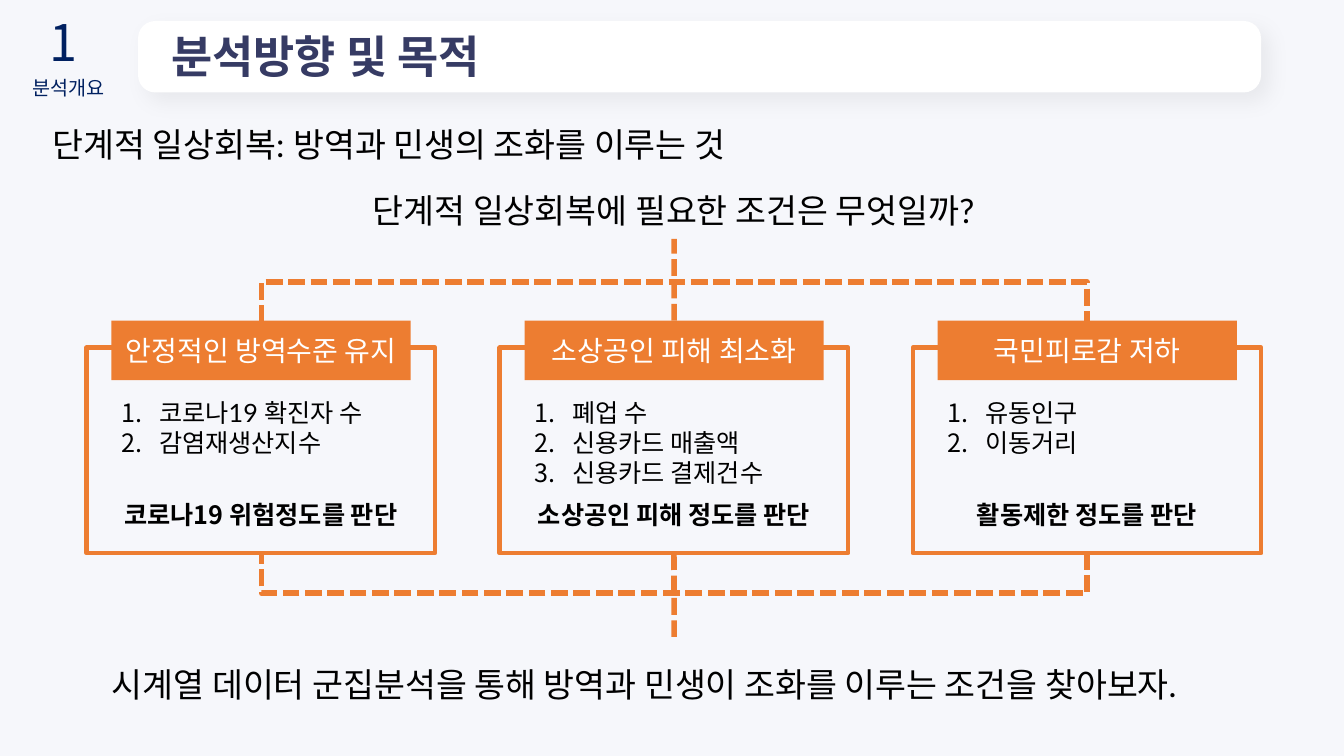
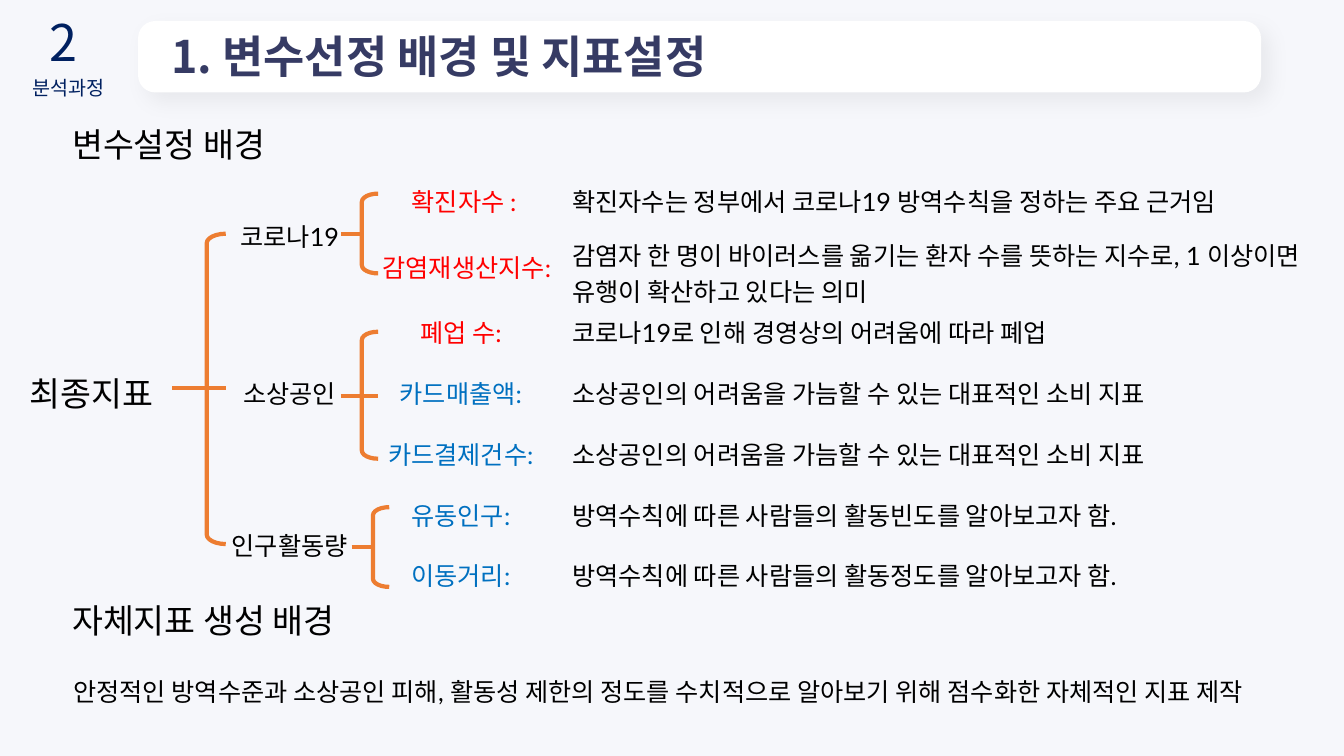
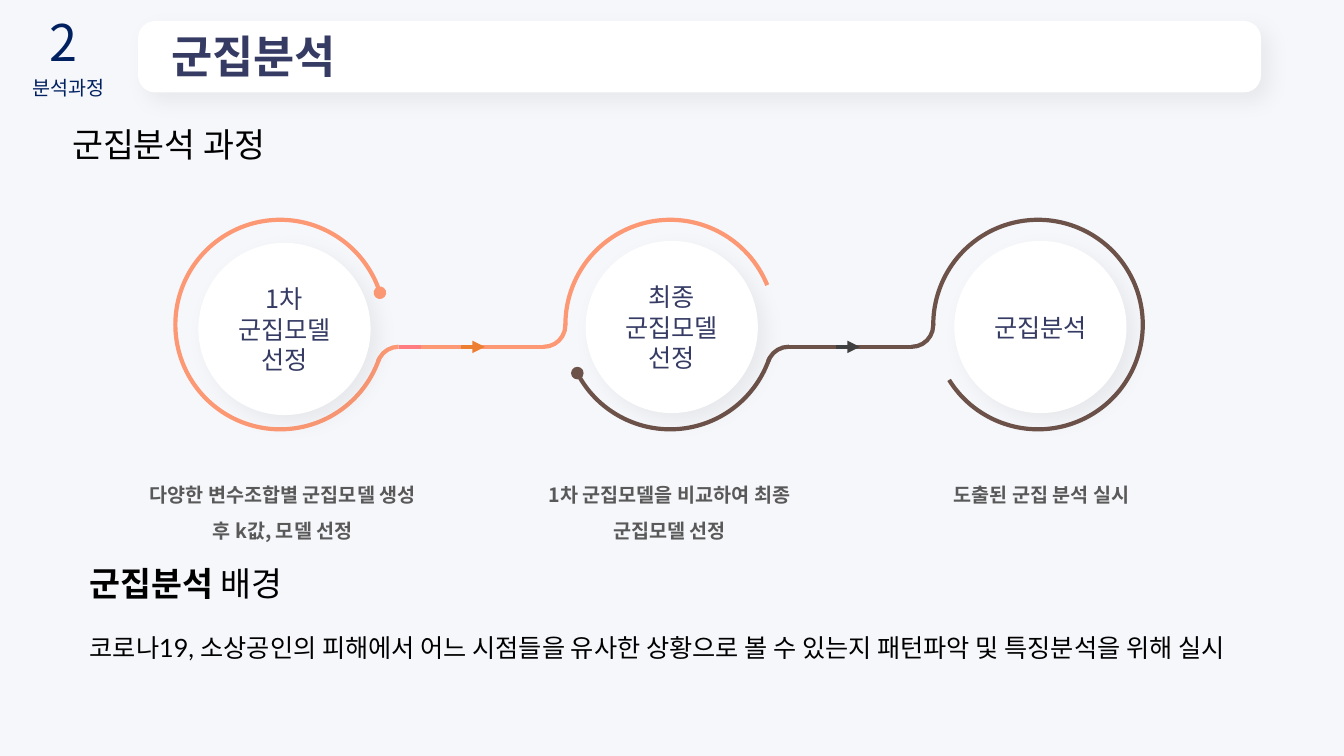
from dataclasses import dataclass, replace

from lxml.etree import SubElement
from pptx import Presentation
from pptx.dml.color import RGBColor
from pptx.enum.dml import MSO_LINE
from pptx.enum.shapes import MSO_CONNECTOR, MSO_SHAPE
from pptx.enum.text import MSO_ANCHOR, MSO_AUTO_SIZE, PP_ALIGN
from pptx.oxml.ns import qn
from pptx.util import Cm, Pt

BACKGROUND = RGBColor(0xF6, 0xF7, 0xFB)
WHITE = RGBColor(0xFF, 0xFF, 0xFF)
BLACK = RGBColor(0x00, 0x00, 0x00)
INDIGO = RGBColor(0x36, 0x3B, 0x64)
NAVY = RGBColor(0x00, 0x20, 0x60)
ORANGE = RGBColor(0xED, 0x7D, 0x31)
RED = RGBColor(0xFF, 0x00, 0x00)
BLUE = RGBColor(0x00, 0x70, 0xC0)
SALMON = RGBColor(0xFC, 0x99, 0x74)
PINK = RGBColor(0xFF, 0x7C, 0x80)
BROWN = RGBColor(0x6D, 0x52, 0x4A)
CHARCOAL = RGBColor(0x40, 0x40, 0x40)
GRAY = RGBColor(0x59, 0x59, 0x59)

LATIN = "Lato"
KOREAN = "Noto Sans CJK KR"
NO_TABLE_STYLE = "{2D5ABB26-0587-4C30-8999-92F81FD0307C}"


@dataclass(frozen=True)
class Style:
    size: int
    color: RGBColor = BLACK
    font: str = LATIN
    bold: bool = False


TITLE = Style(32, INDIGO, KOREAN, True)
CHAPTER_NUMBER = Style(36, NAVY, KOREAN)
CHAPTER_NAME = Style(14, NAVY, KOREAN)
HEADING = Style(24)
BODY = Style(18)
CONCLUSION = Style(18, BLACK, KOREAN, True)
TAB = Style(20, WHITE)
DISC = Style(18, INDIGO, KOREAN)
CAPTION = Style(14, GRAY, KOREAN, True)


def add_run(paragraph, text, style):
    run = paragraph.add_run()
    run.text = text
    font = run.font
    font.size, font.bold, font.name = Pt(style.size), style.bold, style.font
    font.color.rgb = style.color
    SubElement(run._r.get_or_add_rPr(), qn("a:ea"), typeface=KOREAN)


def write(frame, lines, style, align=PP_ALIGN.LEFT, spacing=None):
    """Fill the frame with one paragraph per line and return the paragraphs."""
    for index, line in enumerate(lines):
        paragraph = frame.add_paragraph() if index else frame.paragraphs[0]
        paragraph.alignment = align
        if spacing:
            paragraph.line_spacing = spacing
        add_run(paragraph, line, style)
    return frame.paragraphs


def add_text(slide, left, top, width, height, lines, style, align=PP_ALIGN.LEFT, spacing=None):
    box = slide.shapes.add_textbox(Cm(left), Cm(top), Cm(width), Cm(height))
    box.text_frame.word_wrap = True
    box.text_frame.auto_size = MSO_AUTO_SIZE.SHAPE_TO_FIT_TEXT
    return write(box.text_frame, lines, style, align, spacing)


def add_heading(slide, left, top, text):
    return add_text(slide, left, top, 30.7, 1.27, [text], HEADING)


def add_numbered_list(slide, left, top, width, items):
    for paragraph in add_text(slide, left, top, width, 1.8, items, BODY):
        properties = paragraph._p.get_or_add_pPr()
        properties.set("marL", str(Cm(0.95)))
        properties.set("indent", str(-Cm(0.95)))
        SubElement(properties, qn("a:buAutoNum"), type="arabicPeriod")


def add_shape(slide, kind, left, top, width, height, fill=None, line=None, weight=3):
    shape = slide.shapes.add_shape(kind, Cm(left), Cm(top), Cm(width), Cm(height))
    shape.shadow.inherit = False
    if fill is None:
        shape.fill.background()
    else:
        shape.fill.solid()
        shape.fill.fore_color.rgb = fill
    if line is None:
        shape.line.fill.background()
    else:
        shape.line.color.rgb = line
        shape.line.width = Pt(weight)
    return shape


def add_soft_shadow(shape):
    effects = shape.element.spPr.find(qn("a:effectLst"))
    shadow = SubElement(effects, qn("a:outerShdw"), blurRad=str(Pt(15)), dist=str(Pt(8)),
                        dir="2700000", algn="tl", rotWithShape="0")
    color = SubElement(shadow, qn("a:srgbClr"), val=str(BLACK))
    SubElement(color, qn("a:alpha"), val="5000")


def end_with(shape, head):
    """Put an arrowhead or a dot on the end of an outline."""
    SubElement(shape.element.spPr.find(qn("a:ln")), qn("a:tailEnd"), type=head)


def add_line(slide, x1, y1, x2, y2, color, weight=3):
    line = slide.shapes.add_connector(MSO_CONNECTOR.STRAIGHT, Cm(x1), Cm(y1), Cm(x2), Cm(y2))
    line.line.color.rgb = color
    line.line.width = Pt(weight)
    SubElement(line.element.spPr, qn("a:effectLst"))
    return line


def add_arc(slide, left, top, size, start, end, color):
    """Draw clockwise from start to end, in degrees from three o'clock."""
    arc = add_shape(slide, MSO_SHAPE.ARC, left, top, size, size, line=color)
    arc.adjustments[0] = start * 0.6
    arc.adjustments[1] = end * 0.6
    return arc


def add_slide(presentation, number, chapter, title):
    slide = presentation.slides.add_slide(presentation.slide_layouts[6])
    slide.background.fill.solid()
    slide.background.fill.fore_color.rgb = BACKGROUND
    bar = add_shape(slide, MSO_SHAPE.ROUNDED_RECTANGLE, 3.48, 0.53, 28.3, 1.8, WHITE)
    bar.adjustments[0] = 0.24
    add_soft_shadow(bar)
    bar.text_frame.vertical_anchor = MSO_ANCHOR.BOTTOM
    bar.text_frame.margin_left = Cm(0.71)
    write(bar.text_frame, [title], TITLE, spacing=1.5)
    add_text(slide, 0.28, 0.15, 2.62, 1.8, [number], CHAPTER_NUMBER, PP_ALIGN.CENTER)
    add_text(slide, 0.28, 1.78, 2.9, 0.86, [chapter], CHAPTER_NAME, PP_ALIGN.CENTER)
    return slide


def add_dashed_bracket(slide, center_y, rotation):
    width, length = 1.02, 20.8
    bracket = add_shape(slide, MSO_SHAPE.RIGHT_BRACKET, 16.99 - width / 2, center_y - length / 2,
                        width, length, line=ORANGE, weight=4)
    bracket.adjustments[0] = 0
    bracket.rotation = rotation
    bracket.line.dash_style = MSO_LINE.SQUARE_DOT


def add_condition(slide, left, title, indicators, conclusion):
    box = add_shape(slide, MSO_SHAPE.RECTANGLE, left, 8.76, 8.79, 5.18, line=ORANGE)
    tab = add_shape(slide, MSO_SHAPE.RECTANGLE, left + 0.63, 8.08, 7.54, 1.5, ORANGE)
    tab.text_frame.vertical_anchor = MSO_ANCHOR.MIDDLE
    write(tab.text_frame, [title], TAB, PP_ALIGN.CENTER)
    add_numbered_list(slide, left + 0.63, 9.88, 7.54, indicators)
    add_text(slide, left, 12.45, 8.79, 1.02, [conclusion], CONCLUSION, PP_ALIGN.CENTER)
    return box, tab


def build_purpose(presentation):
    slide = add_slide(presentation, "1", "분석개요", "분석방향 및 목적")
    add_heading(slide, 1.07, 3, "단계적 일상회복: 방역과 민생의 조화를 이루는 것")
    add_text(slide, 8.15, 4.67, 17.65, 1.27, ["단계적 일상회복에 필요한 조건은 무엇일까?"],
             HEADING, PP_ALIGN.CENTER)
    add_heading(slide, 2.57, 16.61,
                "시계열 데이터 군집분석을 통해 방역과 민생이 조화를 이루는 조건을 찾아보자.")
    add_dashed_bracket(slide, 7.61, 270)
    add_dashed_bracket(slide, 14.44, 90)
    conditions = [
        ("안정적인 방역수준 유지", ["코로나19 확진자 수", "감염재생산지수"],
         "코로나19 위험정도를 판단"),
        ("소상공인 피해 최소화", ["폐업 수", "신용카드 매출액", "신용카드 결제건수"],
         "소상공인 피해 정도를 판단"),
        ("국민피로감 저하", ["유동인구", "이동거리"], "활동제한 정도를 판단"),
    ]
    cards = [add_condition(slide, 2.18 + 10.41 * column, *condition)
             for column, condition in enumerate(conditions)]
    middle_box, middle_tab = cards[1]
    question_link = add_line(slide, 16.99, 8.08, 16.99, 6.02, ORANGE, 4)
    question_link.begin_connect(middle_tab, 0)
    answer_link = add_line(slide, 16.99, 13.94, 16.99, 16.05, ORANGE, 4)
    answer_link.begin_connect(middle_box, 2)
    for link in (question_link, answer_link):
        link.line.dash_style = MSO_LINE.SQUARE_DOT


def add_indicator_table(slide, left, top, groups):
    indicators = [entry for _, entries in groups for entry in entries]
    widths = [3.84, 4.95, 18.95]
    row_height = 1.53
    frame = slide.shapes.add_table(len(indicators), len(widths), Cm(left), Cm(top),
                                   Cm(sum(widths)), Cm(row_height * len(indicators)))
    table = frame.table
    table.first_row = table.horz_banding = False
    table._tbl.tblPr.find(qn("a:tableStyleId")).text = NO_TABLE_STYLE
    for column, width in zip(table.columns, widths):
        column.width = Cm(width)
    for row in table.rows:
        for cell in row.cells:
            cell.fill.background()
            cell.vertical_anchor = MSO_ANCHOR.MIDDLE
    first = 0
    for group, entries in groups:
        group_cell = table.cell(first, 0)
        group_cell.merge(table.cell(first + len(entries) - 1, 0))
        write(group_cell.text_frame, [group], BODY, PP_ALIGN.CENTER)
        first += len(entries)
    for row, (name, color, reason) in enumerate(indicators):
        write(table.cell(row, 1).text_frame, [name], replace(BODY, color=color), PP_ALIGN.CENTER)
        write(table.cell(row, 2).text_frame, [reason], BODY)


def add_branch(slide, left, top, width, height, stem_start, stem_end, stem_y):
    bracket = add_shape(slide, MSO_SHAPE.LEFT_BRACKET, left, top, width, height, line=ORANGE)
    bracket.adjustments[0] = 0.5
    add_line(slide, stem_start, stem_y, stem_end, stem_y, ORANGE)


def build_indicators(presentation):
    slide = add_slide(presentation, "2", "분석과정", "1. 변수선정 배경 및 지표설정")
    spending = "소상공인의 어려움을 가늠할 수 있는 대표적인 소비 지표"
    add_indicator_table(slide, 5.38, 4.29, [
        ("코로나19", [
            ("확진자수 :", RED, "확진자수는 정부에서 코로나19 방역수칙을 정하는 주요 근거임"),
            (" 감염재생산지수: ", RED,
             "감염자 한 명이 바이러스를 옮기는 환자 수를 뜻하는 지수로, "
             "1 이상이면 유행이 확산하고 있다는 의미"),
        ]),
        ("소상공인", [
            ("폐업 수: ", RED, "코로나19로 인해 경영상의 어려움에 따라 폐업"),
            ("카드매출액: ", BLUE, spending),
            ("카드결제건수: ", BLUE, spending),
        ]),
        ("인구활동량", [
            ("유동인구: ", BLUE, "방역수칙에 따른 사람들의 활동빈도를 알아보고자 함."),
            ("이동거리: ", BLUE, "방역수칙에 따른 사람들의 활동정도를 알아보고자 함."),
        ]),
    ])
    add_text(slide, 0.28, 9.27, 4.06, 1.27, ["최종지표"], replace(HEADING, font=KOREAN),
             PP_ALIGN.CENTER)
    add_branch(slide, 5.21, 5.89, 0.48, 7.82, 4.34, 5.69, 9.78)
    add_branch(slide, 9.12, 4.88, 0.41, 2.01, 8.59, 9.12, 5.89)
    add_branch(slide, 9.12, 8.36, 0.41, 3.2, 8.59, 9.53, 9.98)
    add_branch(slide, 9.4, 12.78, 0.41, 2.01, 8.86, 9.4, 13.79)
    add_heading(slide, 1.57, 3, "변수설정 배경")
    add_heading(slide, 1.57, 14.99, "자체지표 생성 배경")
    add_text(slide, 1.6, 16.92, 30.7, 1.02,
             ["안정적인 방역수준과 소상공인 피해, 활동성 제한의 정도를 수치적으로 알아보기 위해 "
              "점수화한 자체적인 지표 제작"], BODY)


def add_ring_link(slide, ring_left, next_left, color, next_color):
    """Lead out of one ring, along a straight line, into the next ring."""
    elbow, track_y = 1.09, 8.74
    out_left = ring_left + 5.08
    add_arc(slide, out_left, track_y, elbow, 199.4, 270.5, color)
    add_arc(slide, next_left - elbow, track_y - elbow, elbow, 355.9, 90.5, next_color)
    add_line(slide, out_left + elbow / 2, track_y, next_left - elbow / 2, track_y, color)


def add_step(slide, disc_left, disc_top, name, caption_left, caption):
    disc = add_shape(slide, MSO_SHAPE.OVAL, disc_left, disc_top, 4.34, 4.34, WHITE)
    add_soft_shadow(disc)
    disc.text_frame.vertical_anchor = MSO_ANCHOR.MIDDLE
    write(disc.text_frame, [name], DISC, PP_ALIGN.CENTER)
    add_text(slide, caption_left, 11.76, 7.29, 1.93, [caption], CAPTION, PP_ALIGN.CENTER, 1.5)


def build_clustering(presentation):
    slide = add_slide(presentation, "2", "분석과정", "군집분석")
    add_heading(slide, 1.57, 3, "군집분석 과정")
    first, second, third = 4.42, 14.25, 23.52
    rings = [
        (first, 18.8, 342.3, SALMON, True),
        (second, 179.7, 337.9, SALMON, False),
        (second, 18.8, 152.4, BROWN, True),
        (third, 179.7, 148.1, BROWN, False),
    ]
    for left, start, end, color, dotted in rings:
        ring = add_arc(slide, left, 5.54, 5.28, start, end, color)
        if dotted:
            end_with(ring, "oval")
    add_ring_link(slide, first, second, SALMON, SALMON)
    add_ring_link(slide, second, third, BROWN, BROWN)
    add_line(slide, 10.06, 8.74, 10.62, 8.74, PINK)
    for start, end, color in ((11.63, 12.22, ORANGE), (21.06, 21.67, CHARCOAL)):
        end_with(add_line(slide, start, 8.74, end, 8.74, color), "triangle")
    add_step(slide, 5, 6.12, "1차 군집모델 선정", 3.48,
             "다양한 변수조합별 군집모델 생성 후 k값, 모델 선정")
    add_step(slide, 14.76, 6.07, "최종 군집모델 선정", 13.23,
             "1차 군집모델을 비교하여 최종 군집모델 선정")
    add_step(slide, 24.05, 6.07, "군집분석", 22.61, "도출된 군집 분석 실시")
    background_heading = add_text(slide, 2.01, 14.07, 30.7, 1.27, ["군집분석"],
                                  replace(HEADING, bold=True))
    add_run(background_heading[0], " 배경", HEADING)
    add_text(slide, 2.01, 15.82, 30.7, 1.02,
             ["코로나19, 소상공인의 피해에서 어느 시점들을 유사한 상황으로 볼 수 있는지 "
              "패턴파악 및 특징분석을 위해 실시"], BODY)


def main():
    presentation = Presentation()
    presentation.slide_width = Cm(33.87)
    presentation.slide_height = Cm(19.05)
    build_purpose(presentation)
    build_indicators(presentation)
    build_clustering(presentation)
    presentation.save("out.pptx")


if __name__ == "__main__":
    main()
